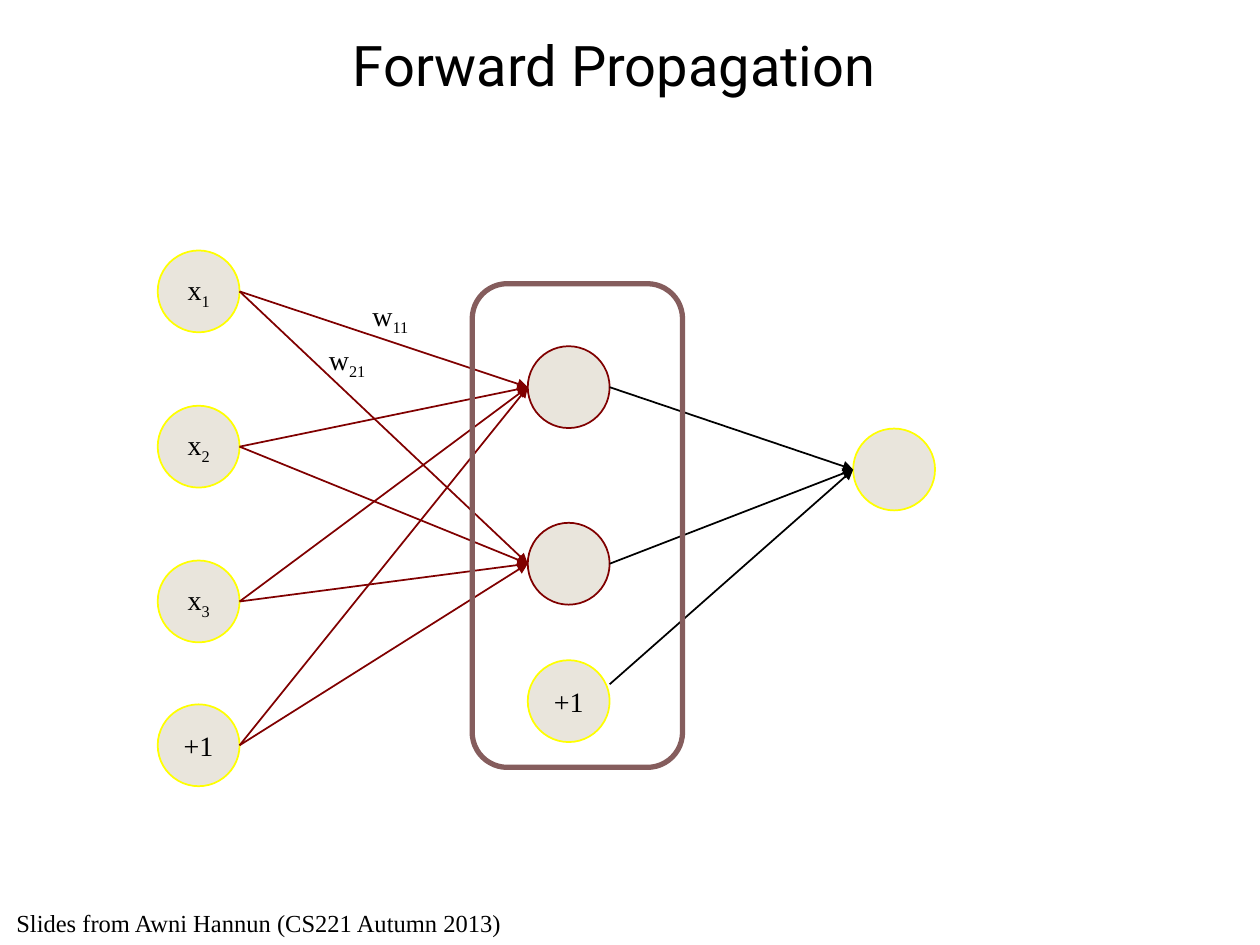
from itertools import product

from lxml.etree import SubElement
from pptx import Presentation
from pptx.dml.color import RGBColor
from pptx.enum.shapes import MSO_CONNECTOR, MSO_SHAPE
from pptx.enum.text import MSO_ANCHOR, PP_ALIGN
from pptx.oxml.ns import qn
from pptx.util import Cm, Pt

BLACK = RGBColor(0x00, 0x00, 0x00)
MAROON = RGBColor(0x80, 0x00, 0x00)
YELLOW = RGBColor(0xFF, 0xFF, 0x00)
NODE_FILL = RGBColor(0xE9, 0xE5, 0xDC)
FRAME_LINE = RGBColor(0x85, 0x5D, 0x5D)
SERIF = "Times New Roman"
NODE_SIZE = 1.65


def add_run(paragraph, text, size, font_name=SERIF, subscript=False):
    run = paragraph.add_run()
    run.text = text
    run.font.size = Pt(size)
    run.font.name = font_name
    run.font.color.rgb = BLACK
    if subscript:
        run.font._element.set("baseline", "-25000")


def add_symbol(paragraph, symbol, index):
    add_run(paragraph, symbol, 16)
    if index:
        add_run(paragraph, index, 16, subscript=True)


def add_text_box(slide, left, top, width, height):
    shape = slide.shapes.add_textbox(Cm(left), Cm(top), Cm(width), Cm(height))
    shape.text_frame.word_wrap = True
    return shape.text_frame


def add_node(slide, left, top, line_color, symbol="", index=""):
    shape = slide.shapes.add_shape(
        MSO_SHAPE.OVAL, Cm(left), Cm(top), Cm(NODE_SIZE), Cm(NODE_SIZE))
    shape.shadow.inherit = False
    shape.fill.solid()
    shape.fill.fore_color.rgb = NODE_FILL
    shape.line.color.rgb = line_color
    shape.line.width = Pt(1)
    if symbol:
        text_frame = shape.text_frame
        text_frame.margin_left = text_frame.margin_right = 0
        text_frame.vertical_anchor = MSO_ANCHOR.MIDDLE
        paragraph = text_frame.paragraphs[0]
        paragraph.alignment = PP_ALIGN.CENTER
        add_symbol(paragraph, symbol, index)


def add_arrow(slide, start, end, color):
    connector = slide.shapes.add_connector(
        MSO_CONNECTOR.STRAIGHT, *(Cm(length) for length in (*start, *end)))
    connector.line.color.rgb = color
    connector.line.width = Pt(1)
    SubElement(connector.line._get_or_add_ln(), qn("a:tailEnd"), type="triangle")
    SubElement(connector._element.spPr, qn("a:effectLst"))


def add_layer_frame(slide, left, top, width, height):
    frame = slide.shapes.add_shape(
        MSO_SHAPE.ROUNDED_RECTANGLE, Cm(left), Cm(top), Cm(width), Cm(height))
    frame.shadow.inherit = False
    frame.fill.background()
    frame.line.color.rgb = FRAME_LINE
    frame.line.width = Pt(3)


def add_network(slide, left, top):
    radius = NODE_SIZE / 2
    hidden_left, output_left = left + 7.46, left + 14.02
    inputs = [(0, "x", "1"), (3.13, "x", "2"), (6.25, "x", "3"), (9.15, "+1", "")]
    hidden_tops = [1.93, 5.49]
    bias_top, output_top = 8.26, 3.59

    for offset, symbol, index in inputs:
        add_node(slide, left, top + offset, YELLOW, symbol, index)
    for offset in hidden_tops:
        add_node(slide, hidden_left, top + offset, MAROON)
    add_node(slide, hidden_left, top + bias_top, YELLOW, "+1")
    add_node(slide, output_left, top + output_top, YELLOW)

    for (input_top, _, _), hidden_top in product(inputs, hidden_tops):
        add_arrow(slide, (left + NODE_SIZE, top + input_top + radius),
                  (hidden_left, top + hidden_top + radius), MAROON)
    for start_top in [*hidden_tops, bias_top - 0.34]:
        add_arrow(slide, (hidden_left + NODE_SIZE, top + start_top + radius),
                  (output_left, top + output_top + radius), BLACK)

    for x, y, index in [(4.08, 0.84, "11"), (3.2, 1.73, "21")]:
        text_frame = add_text_box(slide, left + x, top + y, 1.78, 1.02)
        add_symbol(text_frame.paragraphs[0], "w", index)
    add_layer_frame(slide, left + 6.34, top + 0.67, 4.24, 9.75)


def add_title(slide, left, top, width, height):
    text_frame = add_text_box(slide, left, top, width, height)
    text_frame.vertical_anchor = MSO_ANCHOR.MIDDLE
    paragraph = text_frame.paragraphs[0]
    paragraph.alignment = PP_ALIGN.CENTER
    add_run(paragraph, "Forward Propagation", 32, "Roboto")


def add_credit(slide, left, top, width, height):
    text_frame = add_text_box(slide, left, top, width, height)
    add_run(text_frame.paragraphs[0],
            "Slides from Awni Hannun (CS221 Autumn 2013)", 14)


def main():
    presentation = Presentation()
    presentation.slide_width = Cm(25.4)
    presentation.slide_height = Cm(19.05)
    slide = presentation.slides.add_slide(presentation.slide_layouts[6])
    add_network(slide, 3.18, 5.05)
    add_credit(slide, 0.08, 18.19, 12.04, 0.86)
    add_title(slide, 5.11, 0.38, 14.55, 1.83)
    presentation.save("out.pptx")


if __name__ == "__main__":
    main()
